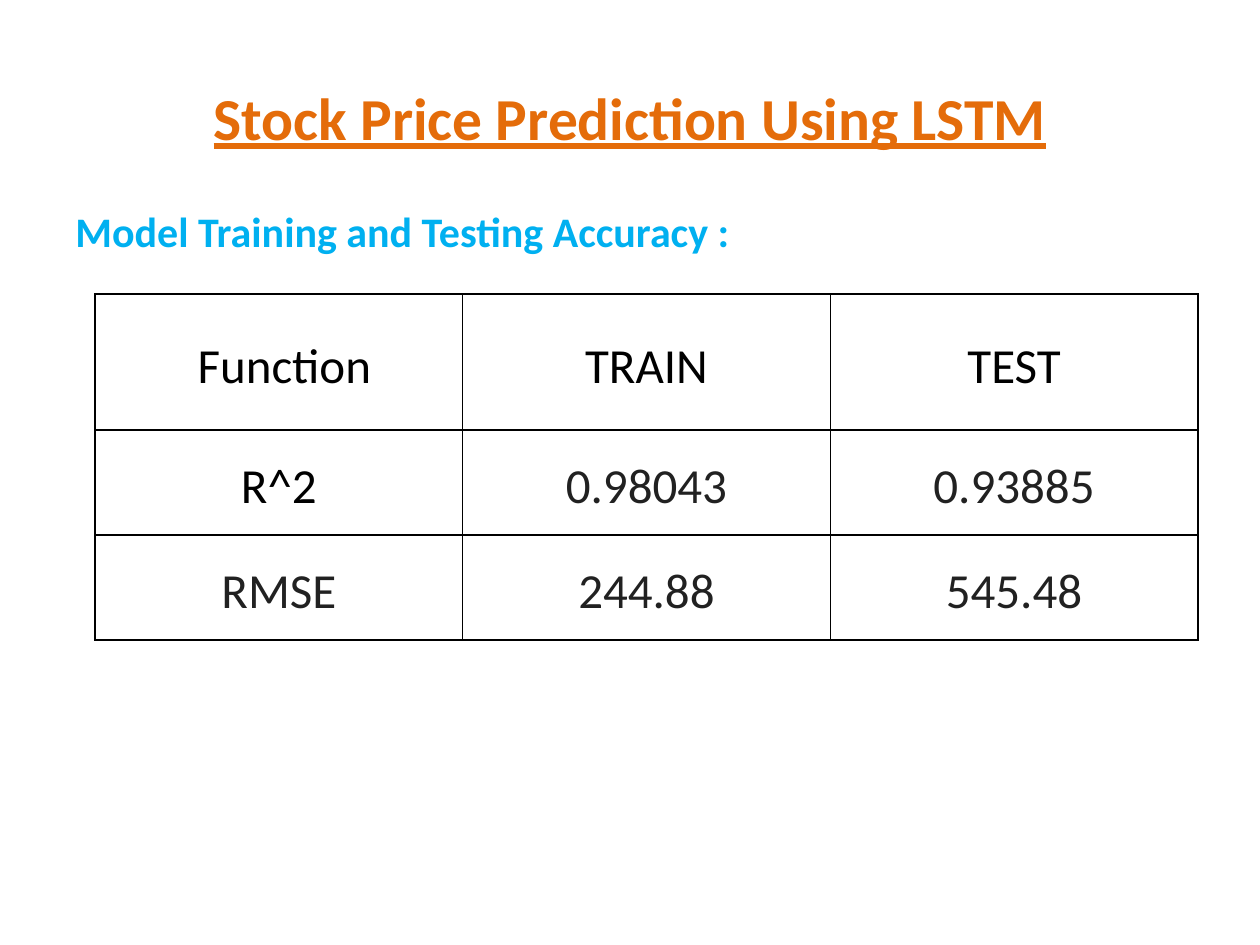
from pptx import Presentation
from pptx.dml.color import RGBColor as RGB
from pptx.enum.text import MSO_ANCHOR as Anchor, PP_ALIGN as Align
from pptx.oxml import parse_xml
from pptx.oxml.ns import nsdecls
from pptx.util import Emu, Pt


def px(n):
    """Turn picture pixels into EMU."""
    return Emu(round(n * 914400 / 126))


def write(par, text, size, color, bold=False, under=False):
    """Add one styled run to a paragraph."""
    run = par.add_run()
    run.text = text
    font = run.font
    font.name, font.size = "Calibri", Pt(size)
    font.bold, font.underline = bold, under
    font.color.rgb = RGB.from_string(color)


deck = Presentation()
deck.slide_width, deck.slide_height = px(1260), px(945)
slide = deck.slides.add_slide(deck.slide_layouts[6])
shapes = slide.shapes

# Subtitle
body = shapes.add_textbox(px(63), px(199), px(1134), px(725)).text_frame
body.word_wrap = True
par = body.paragraphs[0]
par.alignment = Align.JUSTIFY
par.space_before = Pt(2)
write(par, "Model Training and Testing Accuracy :", 24, "00B0F0", bold=True)

# Accuracy table
rows = [
    ("\u00a0Function", "TRAIN", "TEST"),
    ("R^2", "0.98043", "0.93885"),
    ("RMSE", "244.88", "545.48"),
]
black = {"\u00a0Function", "TRAIN", "TEST", "R^2"}
table = shapes.add_table(3, 3, px(95), px(294), px(1103), px(346)).table
table.first_row = table.horz_banding = False
for row, high in zip(table.rows, (136, 105, 105)):
    row.height = px(high)

for r, row in enumerate(rows):
    for c, text in enumerate(row):
        cell = table.cell(r, c)
        cell.vertical_anchor = Anchor.MIDDLE
        cell.margin_left = cell.margin_right = px(9)
        cell.margin_top = cell.margin_bottom = 0
        par = cell.text_frame.paragraphs[0]
        par.alignment = Align.CENTER
        par.line_spacing = 1.15
        par.space_after = Pt(10)
        write(par, text, 28, "000000" if text in black else "212121")
        props = cell._tc.get_or_add_tcPr()
        for side in ("lnL", "lnR", "lnT", "lnB"):
            props.append(parse_xml(
                f'<a:{side} {nsdecls("a")} w="12700"><a:solidFill>'
                f'<a:srgbClr val="000000"/></a:solidFill></a:{side}>'))
        cell.fill.background()

# Title
title = shapes.add_textbox(px(63), px(38), px(1134), px(157)).text_frame
title.word_wrap = True
title.vertical_anchor = Anchor.MIDDLE
par = title.paragraphs[0]
par.alignment = Align.CENTER
write(par, "Stock Price Prediction Using LSTM", 34, "E46C0A",
      bold=True, under=True)

deck.save("out.pptx")
